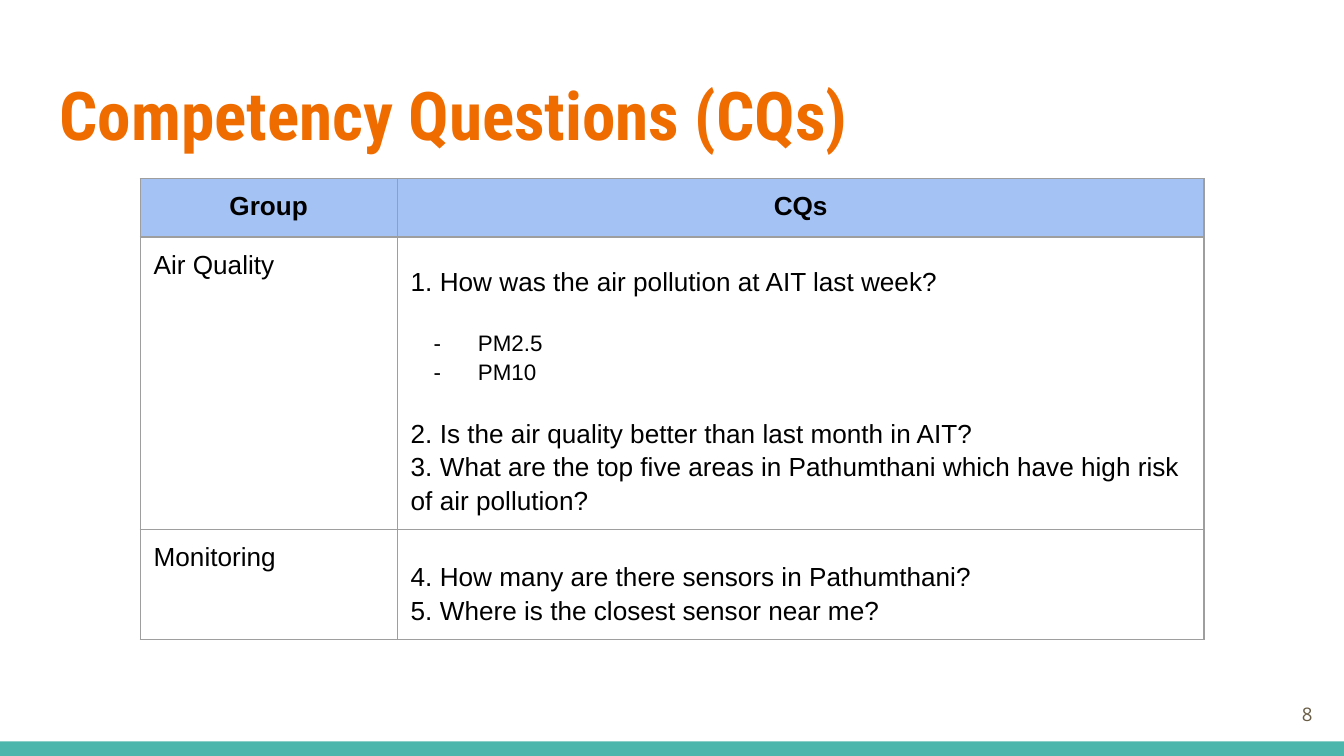
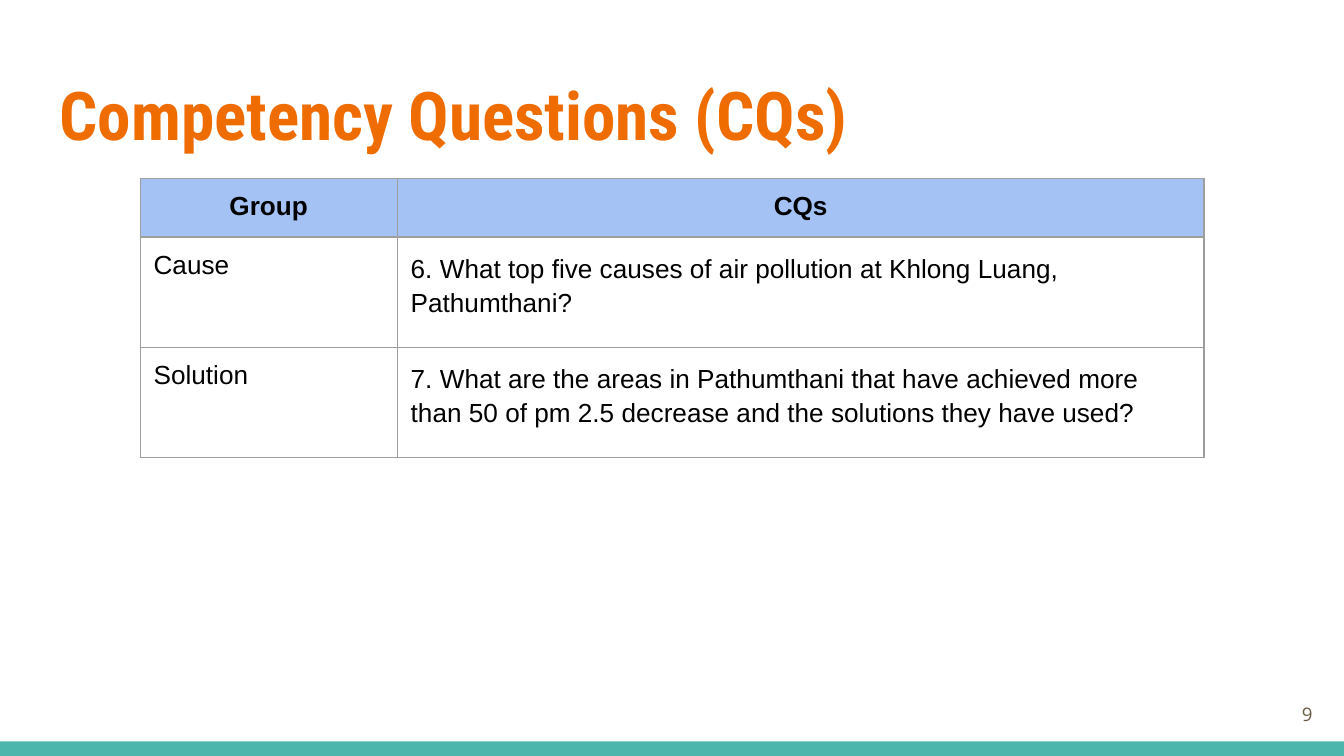
from copy import deepcopy

from lxml.etree import SubElement
from pptx import Presentation
from pptx.dml.color import RGBColor
from pptx.enum.shapes import MSO_SHAPE
from pptx.enum.text import MSO_ANCHOR, PP_ALIGN
from pptx.oxml.ns import qn
from pptx.util import Inches, Pt

# The page is a grid of square units, ten to the inch.
COLUMNS, ROWS = 100, 56.25
TEAL, ORANGE, BROWN = "4DB6AC", "EF6C00", "695D46"
BLACK, BLUE, GREY = "000000", "A4C2F4", "9E9E9E"

TITLE = {"name": "Roboto Condensed", "size": Pt(36), "bold": True, "color": ORANGE}
NUMBER = {"name": "Open Sans", "size": Pt(10), "bold": False, "color": BROWN}
BODY = {"name": "Arial", "size": Pt(14), "bold": False, "color": BLACK}
HEADER = {**BODY, "bold": True}
SMALL = {**BODY, "size": Pt(12)}

CENTRED = {"alignment": PP_ALIGN.CENTER}
LOOSE = {"line_spacing": 1.15}
SPACED = {**LOOSE, "space_after": Pt(16)}
APART = {**SPACED, "space_before": Pt(16)}


def units(count):
    return Inches(count / 10)


def colour(value):
    return RGBColor.from_string(value)


def question(text, layout=SPACED):
    return text, BODY, layout, False


def dashed(text, layout=LOOSE):
    return text, SMALL, layout, True


class Deck:
    def __init__(self):
        self.file = Presentation()
        self.file.slide_width = units(COLUMNS)
        self.file.slide_height = units(ROWS)
        self.page = None

    def add_page(self, title, number):
        self.page = self.file.slides.add_slide(self.file.slide_layouts[6])
        self.band(0, 55.17, COLUMNS, ROWS - 55.17, TEAL)
        self.text(3.45, 4.45, 93.2, 7.7, title, TITLE)
        self.text(92.65, 51, 6, 4.3, str(number), NUMBER,
                  {"alignment": PP_ALIGN.RIGHT}, MSO_ANCHOR.MIDDLE)

    def band(self, left, top, width, height, fill):
        box = self.page.shapes.add_shape(
            MSO_SHAPE.RECTANGLE, *map(units, (left, top, width, height)))
        box.shadow.inherit = False
        box.fill.solid()
        box.fill.fore_color.rgb = colour(fill)
        box.line.fill.background()

    def text(self, left, top, width, height, text, style, layout=None,
             anchor=MSO_ANCHOR.TOP):
        box = self.page.shapes.add_textbox(*map(units, (left, top, width, height)))
        frame = box.text_frame
        frame.word_wrap = True
        frame.vertical_anchor = anchor
        self.inset(frame)
        self.paragraph(frame.paragraphs[0], text, style, layout or {})

    def inset(self, target):
        for side in ("left", "top", "right", "bottom"):
            setattr(target, f"margin_{side}", units(1))

    def paragraph(self, para, text, style, layout, dash=False):
        for name, value in layout.items():
            setattr(para, name, value)
        if dash:
            properties = para._p.get_or_add_pPr()
            properties.set("marL", str(units(5)))
            properties.set("indent", str(-units(3.3)))
            bullet_colour = SubElement(properties, qn("a:buClr"))
            SubElement(bullet_colour, qn("a:srgbClr"), val=style["color"])
            SubElement(properties, qn("a:buSzPts"), val=str(style["size"].centipoints))
            SubElement(properties, qn("a:buFont"), typeface=style["name"])
            SubElement(properties, qn("a:buChar"), char="-")
        for index, line in enumerate(text.split("\n")):
            if index:
                para.add_line_break()
            span = para.add_run()
            span.text = line
            for name, value in style.items():
                if name == "color":
                    span.font.color.rgb = colour(value)
                else:
                    setattr(span.font, name, value)
        # A line break keeps the text size, so that it does not stretch its line.
        for line_break in para._p.findall(qn("a:br")):
            line_break.insert(0, deepcopy(span._r.rPr))

    def borders(self, cell):
        properties = cell._tc.get_or_add_tcPr()
        for position, side in enumerate(("lnL", "lnR", "lnT", "lnB")):
            line = SubElement(properties, qn(f"a:{side}"), w=str(Pt(0.75)))
            fill = SubElement(line, qn("a:solidFill"))
            SubElement(fill, qn("a:srgbClr"), val=GREY)
            properties.insert(position, line)

    def cell(self, cell, paragraphs, fill=None, anchor=MSO_ANCHOR.TOP):
        self.inset(cell)
        cell.vertical_anchor = anchor
        if fill:
            cell.fill.solid()
            cell.fill.fore_color.rgb = colour(fill)
        else:
            cell.fill.background()
        self.borders(cell)
        frame = cell.text_frame
        for index, content in enumerate(paragraphs):
            para = frame.add_paragraph() if index else frame.paragraphs[0]
            self.paragraph(para, *content)

    def question_table(self, groups, anchor):
        """Draw the header and one row per (group, least height, paragraphs)."""
        widths = (19.13, 60.03)
        heights = [3.7] + [height for _, height, _ in groups]
        table = self.page.shapes.add_table(
            len(heights), len(widths), units(10.43), units(13.3),
            units(sum(widths)), units(sum(heights))).table
        table.first_row = table.horz_banding = False
        for column, width in zip(table.columns, widths):
            column.width = units(width)
        for row, height in zip(table.rows, heights):
            row.height = units(height)
        for column, heading in enumerate(("Group", "CQs")):
            self.cell(table.cell(0, column), [(heading, HEADER, CENTRED)], BLUE)
        for row, (group, _, paragraphs) in enumerate(groups, start=1):
            self.cell(table.cell(row, 0), [(group, BODY, {})])
            self.cell(table.cell(row, 1), paragraphs, anchor=anchor)


def main():
    air_quality = [
        question("1. How was the air pollution at AIT last week?", LOOSE),
        dashed("PM2.5", {**LOOSE, "space_before": Pt(16)}),
        dashed("PM10"),
        question("2. Is the air quality better than last month in AIT?\n"
                 "3. What are the top five areas in Pathumthani which have "
                 "high risk of air pollution?", APART),
    ]
    monitoring = [question("4. How many are there sensors in Pathumthani?\n"
                           "5. Where is the closest sensor near me?")]
    cause = [question("6. What top five causes of air pollution at Khlong Luang, "
                      "Pathumthani?")]
    solution = [question("7. What are the areas in Pathumthani that have achieved "
                         "more than 50 of pm 2.5 decrease and the solutions they "
                         "have used?")]
    pages = [
        ([("Air Quality", 12.8, air_quality), ("Monitoring", 8.2, monitoring)],
         MSO_ANCHOR.BOTTOM),
        ([("Cause", 8.2, cause), ("Solution", 8.2, solution)], MSO_ANCHOR.TOP),
    ]
    deck = Deck()
    for number, (groups, anchor) in enumerate(pages, start=8):
        deck.add_page("Competency Questions (CQs)", number)
        deck.question_table(groups, anchor)
    deck.file.save("out.pptx")


if __name__ == "__main__":
    main()
